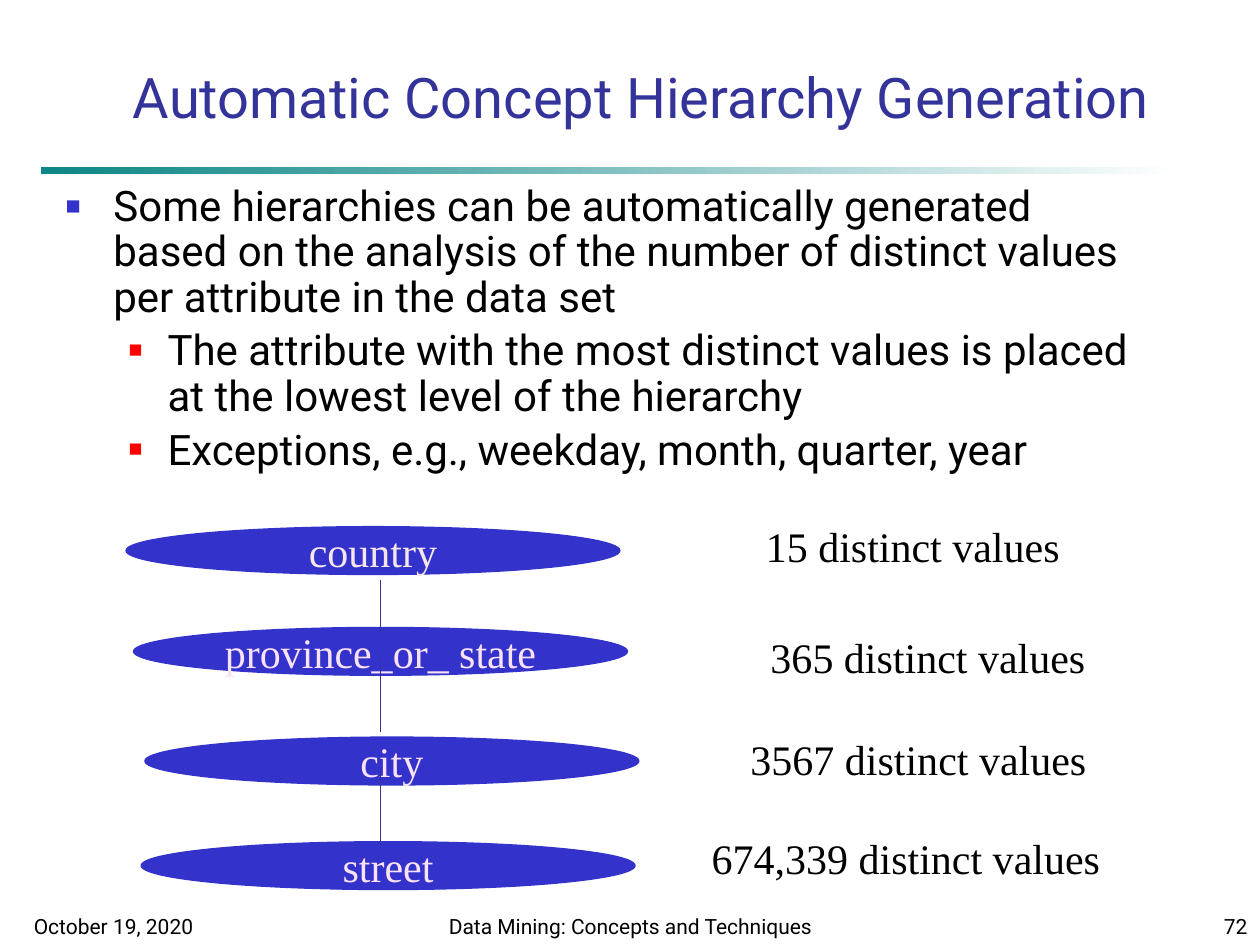
from lxml.etree import SubElement
from pptx import Presentation
from pptx.dml.color import RGBColor
from pptx.enum.shapes import MSO_CONNECTOR, MSO_SHAPE
from pptx.enum.text import MSO_ANCHOR, MSO_AUTO_SIZE, PP_ALIGN
from pptx.oxml.ns import qn
from pptx.util import Inches, Pt

BLACK = RGBColor(0x00, 0x00, 0x00)
WHITE = RGBColor(0xFF, 0xFF, 0xFF)
TEAL = RGBColor(0x00, 0x80, 0x80)
NAVY = RGBColor(0x33, 0x33, 0x99)
BLUE = RGBColor(0x33, 0x33, 0xCC)
RED = RGBColor(0xFF, 0x00, 0x00)
ROSE = RGBColor(0xF6, 0xE6, 0xEA)
PINK = RGBColor(0xFA, 0xE2, 0xF6)
SANS = "Roboto"
SERIF = "Times New Roman"

BULLETS = [
    (0, "Some hierarchies can be automatically generated based on the analysis "
        "of the number of distinct values per attribute in the data set"),
    (1, "The attribute with the most distinct values is placed at the lowest "
        "level of the hierarchy"),
    (1, "Exceptions, e.g., weekday, month, quarter, year"),
]
BULLET_STYLES = [(0.38, -0.38, BLUE, 60), (0.81, -0.31, RED, 55)]
LEVELS = [
    ("country", 1, 4.18, ROSE),
    ("province_or_ state", 1.06, 4.98, PINK),
    ("city", 1.15, 5.85, PINK),
    ("street", 1.12, 6.68, PINK),
]
LINKS = [(4.6, 5.02), (5.23, 5.81), (6.12, 6.73)]
COUNTS = [
    ("15 distinct values", 5.98, 4.08, 2.53),
    ("365 distinct values", 6, 4.96, 2.73),
    ("3567 distinct values", 5.86, 5.77, 2.86),
    ("674,339 distinct values", 5.55, 6.56, 3.28),
]
FOOTER = [
    ("October 19, 2020", 0.17, 2.08, PP_ALIGN.LEFT),
    ("Data Mining: Concepts and Techniques", 3.42, 3.17, PP_ALIGN.CENTER),
    ("72", 7.92, 2.08, PP_ALIGN.RIGHT),
]


class SlideBuilder:
    def __init__(self, slide):
        self.s = slide

    def place(self, sp, left, top, width, height):
        sp.left, sp.top = Inches(left), Inches(top)
        sp.width, sp.height = Inches(width), Inches(height)

    def style_runs(self, p, size, font, color, align):
        p.alignment = align
        for r in p.runs:
            r.font.size = Pt(size)
            r.font.name = font
            r.font.color.rgb = color

    def set_text(self, sp, text, size, font, color, align=PP_ALIGN.CENTER,
                 anchor=MSO_ANCHOR.TOP, wrap=True):
        tf = sp.text_frame
        tf.text = text
        tf.word_wrap = wrap
        tf.auto_size = MSO_AUTO_SIZE.NONE
        tf.vertical_anchor = anchor
        self.style_runs(tf.paragraphs[0], size, font, color, align)

    def title(self, text):
        sp = self.s.shapes.title
        self.place(sp, 0.83, 0.33, 8.52, 0.75)
        self.set_text(sp, text, 32, SANS, NAVY, anchor=MSO_ANCHOR.BOTTOM)

    def body(self, items):
        sp = self.s.placeholders[1]
        self.place(sp, 0.42, 1.42, 8.83, 2.5)
        tf = sp.text_frame
        tf.auto_size = MSO_AUTO_SIZE.NONE
        tf.text = "\n".join(text for _, text in items)
        for p, (level, _) in zip(tf.paragraphs, items):
            p.level = level
            p.line_spacing = 0.9
            p.space_before = Pt(4.8)
            self.style_runs(p, 24, SANS, BLACK, PP_ALIGN.LEFT)
            self.bullet(p, *BULLET_STYLES[level])

    def bullet(self, p, margin, indent, color, percent):
        pPr = p._p.get_or_add_pPr()
        pPr.set("marL", str(Inches(margin)))
        pPr.set("indent", str(Inches(indent)))
        clr = SubElement(pPr, qn("a:buClr"))
        SubElement(clr, qn("a:srgbClr"), val=str(color))
        SubElement(pPr, qn("a:buSzPct"), val=str(percent * 1000))
        SubElement(pPr, qn("a:buChar"), char="■")

    def shape(self, kind, left, top, width, height):
        sp = self.s.shapes.add_shape(
            kind, Inches(left), Inches(top), Inches(width), Inches(height))
        sp.shadow.inherit = False
        return sp

    def rule(self, left, top, width, height):
        sp = self.shape(MSO_SHAPE.RECTANGLE, left, top, width, height)
        sp.line.fill.background()
        sp.fill.gradient()
        sp.fill.gradient_angle = 0
        for stop, color, position in zip(sp.fill.gradient_stops, (TEAL, WHITE), (0, 1)):
            stop.color.rgb = color
            stop.position = position
        teal = sp._element.spPr.find(".//" + qn("a:srgbClr"))
        SubElement(teal, qn("a:alpha"), val="95000")

    def ellipse(self, text, left, top, color):
        sp = self.shape(MSO_SHAPE.OVAL, left, top, 3.92, 0.38)
        sp.fill.solid()
        sp.fill.fore_color.rgb = BLUE
        sp.line.color.rgb = BLUE
        sp.line.width = Pt(0.75)
        self.set_text(sp, text, 24, SERIF, color, anchor=MSO_ANCHOR.MIDDLE, wrap=False)

    def link(self, x, top, bottom):
        c = self.s.shapes.add_connector(
            MSO_CONNECTOR.STRAIGHT, Inches(x), Inches(top), Inches(x), Inches(bottom))
        c.line.color.rgb = NAVY
        c.line.width = Pt(0.75)
        SubElement(c._element.spPr, qn("a:effectLst"))

    def label(self, text, left, top, width, height, **style):
        sp = self.s.shapes.add_textbox(
            Inches(left), Inches(top), Inches(width), Inches(height))
        self.set_text(sp, text, **style)


def main():
    prs = Presentation()
    prs.slide_width, prs.slide_height = Inches(10), Inches(7.5)
    b = SlideBuilder(prs.slides.add_slide(prs.slide_layouts[1]))

    b.rule(0.33, 1.33, 9, 0.05)
    for text, left, width, align in FOOTER:
        b.label(text, left, 7.08, width, 0.42, size=12, font=SANS, color=BLACK,
                align=align, anchor=MSO_ANCHOR.BOTTOM)
    b.title("Automatic Concept Hierarchy Generation")
    b.body(BULLETS)
    for level in LEVELS:
        b.ellipse(*level)
    for top, bottom in LINKS:
        b.link(3.02, top, bottom)
    for text, left, top, width in COUNTS:
        b.label(text, left, top, width, 0.5, size=24, font=SERIF, color=BLACK,
                wrap=False)

    prs.save("out.pptx")


if __name__ == "__main__":
    main()
